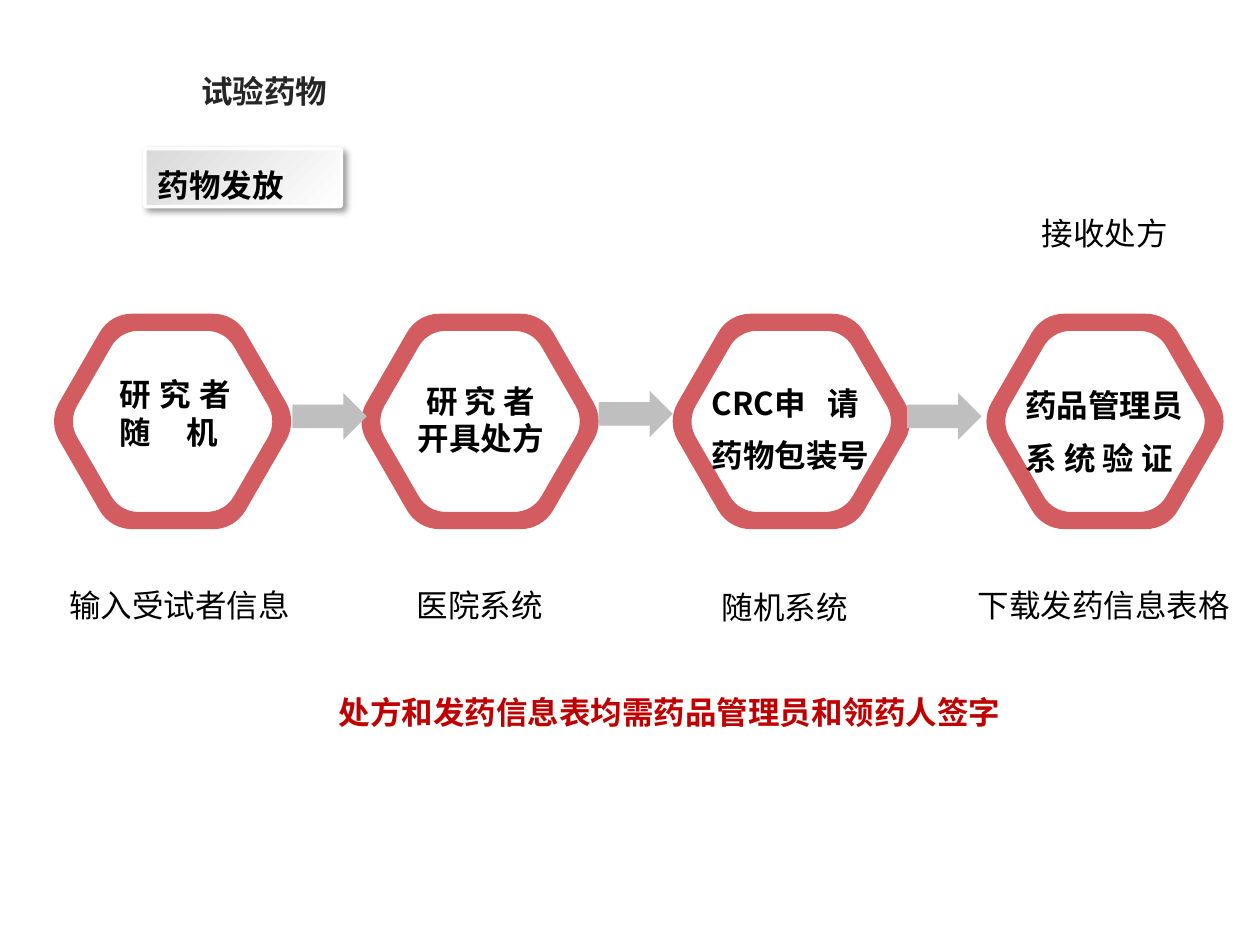
from math import cos, pi, sin

from lxml.etree import SubElement
from pptx import Presentation
from pptx.dml.color import RGBColor
from pptx.enum.shapes import MSO_SHAPE
from pptx.enum.text import MSO_ANCHOR, MSO_AUTO_SIZE, PP_ALIGN
from pptx.oxml.ns import qn
from pptx.util import Inches, Pt

COLORS = {"ring": "D25C5F", "arrow": "BFBFBF", "grey": "D9D9D9",
          "white": "FFFFFF", "black": "000000", "title": "262626",
          "warning": "C00000"}
COLORS = {name: RGBColor.from_string(value) for name, value in COLORS.items()}
FONT = "Noto Sans CJK SC"


def write(shape, lines, color="black", bold=False, align=None, spacing=None):
    frame = shape.text_frame
    frame.text = "\n".join(lines)
    for para in frame.paragraphs:
        para.alignment = align
        para.line_spacing = spacing
        para.font.size = Pt(18)
        para.font.bold = bold
        para.font.color.rgb = COLORS[color]
        para.font.name = FONT
        # East Asian glyphs need their own typeface entry
        properties = para._p.pPr.find(qn("a:defRPr"))
        SubElement(properties, qn("a:ea"), typeface=FONT)


def hexagon_corners(center_x, center_y, radius, turn):
    """For each rounded corner: start, two handles and end of its curve."""
    tips = [(center_x + radius * cos(turn * i * pi / 3),
             center_y + radius * sin(turn * i * pi / 3)) for i in range(6)]
    cut, handle = 0.173, 0.066
    curves = []
    for i, (x, y) in enumerate(tips):
        before, after = tips[i - 1], tips[(i + 1) % 6]
        curves.append([(Inches(x + (end[0] - x) * part),
                        Inches(y + (end[1] - y) * part))
                       for end, part in ((before, cut), (before, handle),
                                         (after, handle), (after, cut))])
    return curves


deck = Presentation()
deck.slide_width, deck.slide_height = Inches(10), Inches(7.5)
page = deck.slides.add_slide(deck.slide_layouts[6])

# Section tag with gradient and shadow
tag = page.shapes.add_shape(MSO_SHAPE.ROUNDED_RECTANGLE, Inches(1.15),
                            Inches(1.18), Inches(1.56), Inches(0.46))
tag.adjustments[0] = 0.032
tag.fill.gradient()
tag.fill.gradient_angle = 315
for stop, name, position in zip(tag.fill.gradient_stops,
                                ("grey", "white"), (0, 1)):
    stop.color.rgb = COLORS[name]
    stop.position = position
tag.line.color.rgb = COLORS["white"]
tag.line.width = Pt(2)
tag.shadow.inherit = False
effects = tag._element.spPr.find(qn("a:effectLst"))
shadow = SubElement(effects, qn("a:outerShdw"), blurRad=str(Pt(4)),
                    dist=str(Pt(3)), dir="2700000", algn="tl", rotWithShape="0")
shade = SubElement(shadow, qn("a:srgbClr"), val="000000")
SubElement(shade, qn("a:alpha"), val="40000")
tag.text_frame.vertical_anchor = MSO_ANCHOR.MIDDLE
write(tag, ["药物发放"], bold=True, align=PP_ALIGN.LEFT, spacing=Pt(30))

# Hexagon rings: the curve midpoints give the builder the true extent
for left in (0.43, 2.87, 5.34, 7.83):
    center = (left + 0.94, 3.345)
    contours = [hexagon_corners(*center, 0.987, 1),
                hexagon_corners(*center, 0.83, -1)]
    builder = page.shapes.build_freeform(*contours[0][0][0])
    for curves in contours:
        builder.move_to(*curves[0][0])
        for start, first, second, end in curves:
            middle = [(a + 3 * b + 3 * c + d) / 8
                      for a, b, c, d in zip(start, first, second, end)]
            builder.add_line_segments([start, middle, end], close=False)
        builder.add_line_segments([], close=True)
    ring = builder.convert_to_shape()
    ring.fill.solid()
    ring.fill.fore_color.rgb = COLORS["ring"]
    ring.line.fill.background()
    ring.shadow.inherit = False

    # Redraw the outline with one cubic curve per corner
    outline = next(ring._element.iter(qn("a:path")))
    for segment in list(outline):
        outline.remove(segment)
    for curves in contours:
        commands = [("moveTo", [curves[0][0]])]
        for i, curve in enumerate(curves):
            if i:
                commands.append(("lnTo", curve[:1]))
            commands.append(("cubicBezTo", curve[1:]))
        for command, points in commands + [("close", [])]:
            segment = SubElement(outline, qn("a:" + command))
            for x, y in points:
                SubElement(segment, qn("a:pt"),
                           x=str(x - ring.left), y=str(y - ring.top))

# Arrows between the steps
for left, top in ((2.32, 3.12), (4.75, 3.1), (7.2, 3.12)):
    arrow = page.shapes.add_shape(MSO_SHAPE.RIGHT_ARROW, Inches(left),
                                  Inches(top), Inches(0.59), Inches(0.37))
    arrow.fill.solid()
    arrow.fill.fore_color.rgb = COLORS["arrow"]
    arrow.line.fill.background()
    arrow.shadow.inherit = False

# Title, step names, captions and closing remark
step = {"bold": True, "align": PP_ALIGN.JUSTIFY}
tall_step = {**step, "spacing": Pt(30)}
texts = [
    (1.5, 0.52, 1.21, 0.4, ["试验药物"], {"color": "title", "bold": True}),
    (0.85, 2.93, 1.08, 0.71, ["研究者随     机"], step),
    (3.21, 2.98, 1.21, 0.71, ["研 究 者", "开具处方"],
     {"bold": True, "align": PP_ALIGN.CENTER}),
    (5.55, 2.88, 1.46, 0.9, ["CRC申   请", "药物包装号"], tall_step),
    (8.04, 2.9, 1.46, 0.9, ["药品管理员", "系 统 验 证"], tall_step),
    (0.45, 4.6, 1.97, 0.4, ["输入受试者信息"], {}),
    (3.21, 4.6, 1.21, 0.4, ["医院系统"], {}),
    (5.63, 4.62, 1.21, 0.4, ["随机系统"], {}),
    (7.66, 4.6, 2.22, 0.4, ["下载发药信息表格"], {}),
    (8.17, 1.65, 1.21, 0.4, ["接收处方"], {}),
    (2.59, 5.45, 5.5, 0.4, ["处方和发药信息表均需药品管理员和领药人签字"],
     {"color": "warning", "bold": True}),
]
for *place, lines, style in texts:
    box = page.shapes.add_textbox(*map(Inches, place))
    box.text_frame.word_wrap = style is step
    box.text_frame.auto_size = MSO_AUTO_SIZE.SHAPE_TO_FIT_TEXT
    write(box, lines, **style)

deck.save("out.pptx")
